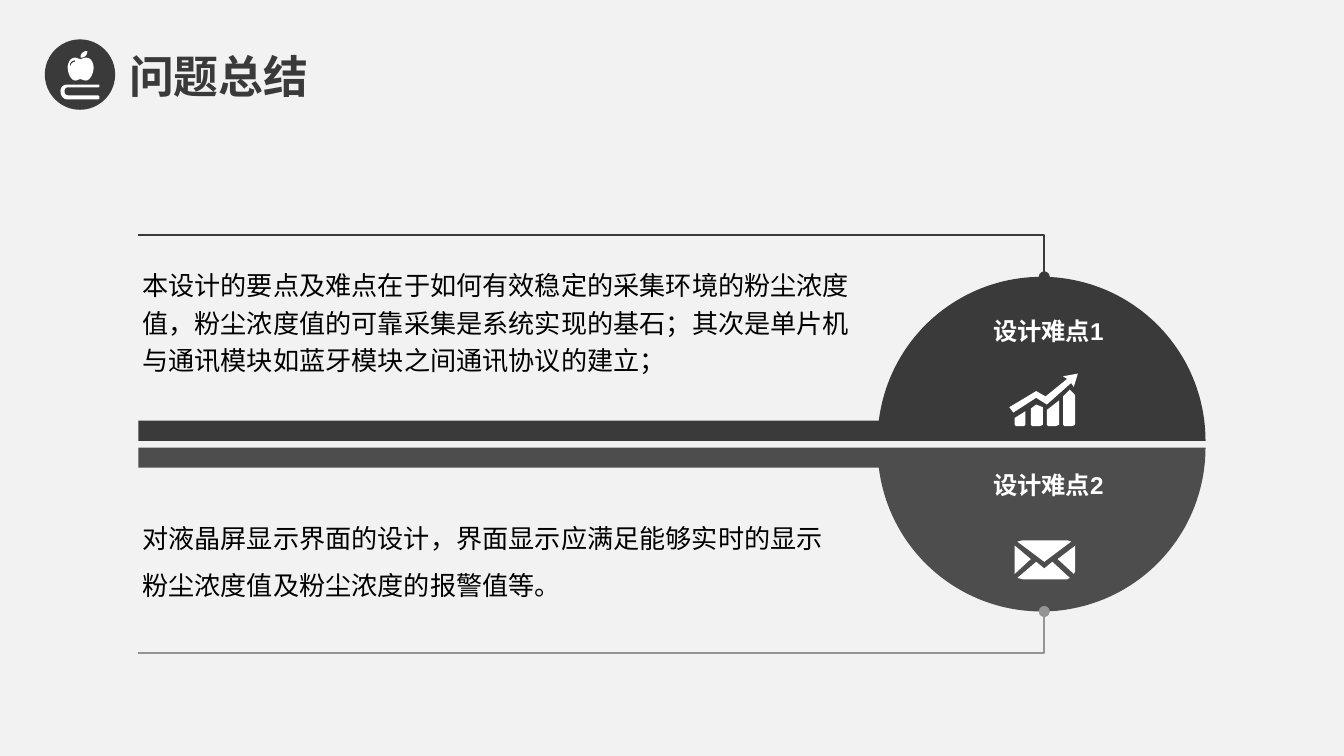
import math
import pptx
import pptx.dml.color
import pptx.enum.text
import pptx.enum.shapes
import pptx.oxml
import pptx.oxml.ns
import pptx.util

Inches = pptx.util.Inches

THEME = {
    "font": "Arial",
    "background": "F2F2F2",
    "dark": "3A3A3A",
    "medium": "4D4D4D",
    "light": "949494",
    "white": "FFFFFF",
    "black": "000000",
    "title_size": 24,
    "label_size": 13,
    "body_size": 14,
}

TITLE = "问题总结"
DIFFICULTIES = [
    {
        "label": "设计难点1",
        "text": "本设计的要点及难点在于如何有效稳定的采集环境的粉尘浓度值，粉尘浓度值的可靠采集是系统实现的基石；其次是单片机与通讯模块如蓝牙模块之间通讯协议的建立；",
        "label_top": 2.35, "text_box": (0.96, 1.91, 5.48, 0.94), "spacing": 1.2,
        "fill": "dark", "line": "dark", "mirrored": False,
    },
    {
        "label": "设计难点2",
        "text": "对液晶屏显示界面的设计，界面显示应满足能够实时的显示粉尘浓度值及粉尘浓度的报警值等。",
        "label_top": 3.5, "text_box": (0.96, 3.72, 5.34, 0.8), "spacing": 1.5,
        "fill": "medium", "line": "light", "mirrored": True,
    },
]

BAR_LEFT, BAR_HEIGHT = 1.03, 0.15
CENTER_X, CENTER_Y, RADIUS = 7.75, 3.28, 1.22
HALF_GAP = 0.05
BRACKET = [(1.03, 1.75), (7.77, 1.75), (7.77, 2.06)]

# Two numbers are a straight step, six numbers are a cubic curve.
GROWTH_ICON = [
    [(7.51, 3.03), (7.71, 2.91), (7.78, 2.95), (7.94, 2.82), (7.91, 2.8), (8.02, 2.78),
     (7.99, 2.88), (7.97, 2.85), (7.79, 3.01), (7.71, 2.96), (7.54, 3.07)],
    [(7.55, 3.11), (7.63, 3.06), (7.63, 3.16), (7.62, 3.17), (7.56, 3.17), (7.55, 3.16)],
    [(7.67, 3.04), (7.71, 3.01), (7.76, 3.03), (7.76, 3.16), (7.74, 3.17), (7.68, 3.17), (7.67, 3.16)],
    [(7.79, 3.05), (7.88, 2.98), (7.88, 3.16), (7.86, 3.17), (7.8, 3.17), (7.79, 3.16)],
    [(7.91, 2.95), (7.96, 2.9), (8, 2.94), (8, 3.16), (7.98, 3.17), (7.92, 3.17), (7.91, 3.16)],
]
ENVELOPE_ICON = [
    [(7.61, 4.02), (7.94, 4.02), (7.97, 4.03), (7.77, 4.18), (7.57, 4.03)],
    [(8, 4.06), (7.87, 4.16), (7.99, 4.27), (8, 4.25)],
    [(7.96, 4.3), (7.94, 4.31), (7.61, 4.31), (7.57, 4.3), (7.71, 4.18), (7.77, 4.23), (7.83, 4.18)],
    [(7.55, 4.27), (7.67, 4.16), (7.55, 4.06)],
]
APPLE_BOOK_ICON = [
    [(0.74, 0.72), (0.74, 0.73, 0.74, 0.74, 0.73, 0.74), (0.5, 0.74),
     (0.47, 0.74, 0.45, 0.71, 0.45, 0.68), (0.45, 0.65, 0.47, 0.63, 0.5, 0.63), (0.73, 0.63),
     (0.74, 0.63, 0.74, 0.63, 0.74, 0.64), (0.74, 0.65, 0.74, 0.65, 0.73, 0.65), (0.51, 0.65),
     (0.49, 0.65, 0.48, 0.66, 0.48, 0.68), (0.48, 0.7, 0.49, 0.71, 0.51, 0.71), (0.73, 0.71)],
    [(0.6, 0.43), (0.63, 0.43, 0.65, 0.41, 0.65, 0.38), (0.62, 0.38, 0.6, 0.4, 0.6, 0.42)],
    [(0.69, 0.47), (0.68, 0.44, 0.66, 0.43, 0.64, 0.43), (0.62, 0.43, 0.61, 0.44, 0.6, 0.44),
     (0.58, 0.44, 0.58, 0.43, 0.56, 0.43), (0.54, 0.43, 0.52, 0.44, 0.51, 0.47),
     (0.49, 0.51, 0.52, 0.6, 0.56, 0.6), (0.58, 0.6, 0.58, 0.59, 0.6, 0.59),
     (0.61, 0.59, 0.62, 0.6, 0.64, 0.6), (0.68, 0.6, 0.71, 0.51, 0.69, 0.47)],
    [(0.56, 0.46), (0.55, 0.46, 0.53, 0.47, 0.53, 0.48), (0.53, 0.48, 0.53, 0.49, 0.52, 0.49),
     (0.52, 0.46, 0.54, 0.45, 0.56, 0.45)],
]


def color(name):
    return pptx.dml.color.RGBColor.from_string(THEME[name])


def flatten(contour, steps=10):
    points = [contour[0]]
    for step in contour[1:]:
        if len(step) == 2:
            points.append(step)
            continue
        controls = [points[-1], step[0:2], step[2:4], step[4:6]]
        for index in range(1, steps + 1):
            t = index / steps
            weights = [math.comb(3, k) * t ** k * (1 - t) ** (3 - k) for k in range(4)]
            points.append(tuple(sum(w * c[axis] for w, c in zip(weights, controls)) for axis in (0, 1)))
    return points


def mirror(points):
    return [(x, 2 * CENTER_Y + HALF_GAP - y) for x, y in points]


def half_disc_with_bar():
    end = math.pi - math.asin(BAR_HEIGHT / RADIUS)
    angles = [end * index / 90 for index in range(91)]
    arc = [(CENTER_X + RADIUS * math.cos(a), CENTER_Y - RADIUS * math.sin(a)) for a in angles]
    return arc + [(BAR_LEFT, CENTER_Y - BAR_HEIGHT), (BAR_LEFT, CENTER_Y)]


def add_outline(shapes, contours, fill=None, line=None):
    builder = None
    for contour in contours:
        points = [(Inches(x), Inches(y)) for x, y in flatten(contour)]
        if builder is None:
            builder = shapes.build_freeform(*points[0])
        else:
            builder.move_to(*points[0])
        builder.add_line_segments(points[1:], close=fill is not None)
    shape = builder.convert_to_shape()
    paint(shape, fill, line)
    return shape


def paint(shape, fill=None, line=None):
    shape.shadow.inherit = False
    if fill:
        shape.fill.solid()
        shape.fill.fore_color.rgb = color(fill)
    else:
        shape.fill.background()
    if line:
        shape.line.color.rgb = color(line)
        shape.line.width = pptx.util.Pt(1)
    else:
        shape.line.fill.background()


def write_text(shape, text, size, ink, bold=False, spacing=1.0, margins=(0.1, 0.05), wrap=True):
    frame = shape.text_frame
    frame.margin_left = frame.margin_right = Inches(margins[0])
    frame.margin_top = frame.margin_bottom = Inches(margins[1])
    frame.word_wrap = wrap
    frame.auto_size = pptx.enum.text.MSO_AUTO_SIZE.SHAPE_TO_FIT_TEXT
    frame.vertical_anchor = pptx.enum.text.MSO_ANCHOR.TOP
    frame.text = text
    paragraph = frame.paragraphs[0]
    paragraph.alignment = pptx.enum.text.PP_ALIGN.LEFT
    paragraph.line_spacing = spacing
    font = paragraph.runs[0].font
    font.name = THEME["font"]
    font.size = pptx.util.Pt(THEME[size])
    font.bold = bold
    font.color.rgb = color(ink)


def main():
    presentation = pptx.Presentation()
    presentation.slide_width = Inches(10)
    presentation.slide_height = presentation.slide_width * 9 // 16
    slide = presentation.slides.add_slide(presentation.slide_layouts[5])
    slide.background.fill.solid()
    slide.background.fill.fore_color.rgb = color("background")
    shapes = slide.shapes

    title = shapes.title
    title.left, title.top, title.width, title.height = map(Inches, (0.86, 0.31, 1.88, 0.5))
    write_text(title, TITLE, "title_size", "dark", bold=True)

    badge = shapes.add_group_shape()
    disc = badge.shapes.add_shape(pptx.enum.shapes.MSO_SHAPE.OVAL, *map(Inches, (0.34, 0.3, 0.51, 0.51)))
    paint(disc, "dark", "dark")
    add_outline(badge.shapes, APPLE_BOOK_ICON, "white")

    for item in DIFFICULTIES:
        place = mirror if item["mirrored"] else list
        add_outline(shapes, [place(half_disc_with_bar())], item["fill"])
        bracket = add_outline(shapes, [place(BRACKET)], line=item["line"])
        tail = pptx.oxml.parse_xml(f'<a:tailEnd {pptx.oxml.ns.nsdecls("a")} type="oval"/>')
        bracket.line._get_or_add_ln().append(tail)
        label = shapes.add_textbox(*map(Inches, (7.39, item["label_top"], 0.88, 0.22)))
        write_text(label, item["label"], "label_size", "white", bold=True, margins=(0, 0), wrap=False)
        body = shapes.add_textbox(*map(Inches, item["text_box"]))
        write_text(body, item["text"], "body_size", "black", spacing=item["spacing"])

    for icon in (GROWTH_ICON, ENVELOPE_ICON):
        add_outline(shapes, icon, "white")

    presentation.save("out.pptx")


if __name__ == "__main__":
    main()
